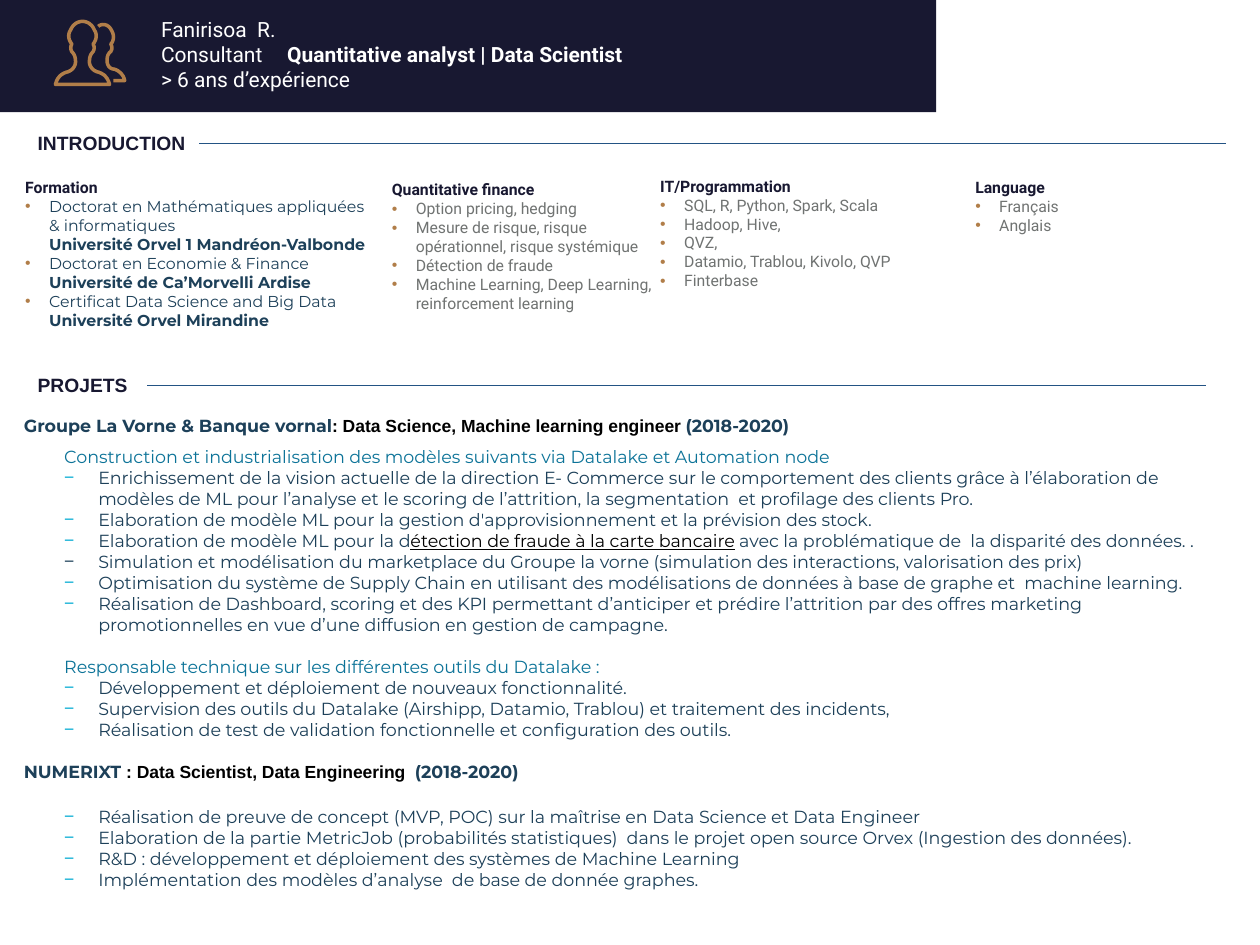
import pptx
import pptx.util
import pptx.dml.color
import pptx.enum.shapes
import pptx.oxml.ns
import lxml.etree

WIDTH, HEIGHT = 10, 7.5
COLORS = {"night": "181831", "bronze": "B17E49", "rule": "235384", "white": "FFFFFF",
          "navy": "1D4059", "teal": "0C7398", "cyan": "00AAD2", "gray": "707372",
          "black": "000000"}

BOLD = {"bold": True}
ROLE = {"font": "Arial", "color": "black"}
UNDERLINED = {"color": "black", "underline": True}

profile = [
    ["Fanirisoa  R."],
    ["Consultant\t", ("Quantitative analyst | Data Scientist", BOLD)],
    ["> 6 ans d’expérience"],
]
sections = [("INTRODUCTION", 0.99, 1.39, 1.58, 9.73), ("PROJETS", 2.91, 1.21, 1.17, 9.57)]

DEGREE = {"font": "Montserrat", "color": "navy"}
SKILL = {"font": "Roboto", "color": "gray"}
skills = [
    ("Formation", (0.2, 1.41, 2.79, 1.4), DEGREE, [
        ["Doctorat en Mathématiques appliquées & informatiques \n",
         ("Université Orvel 1 Mandréon-Valbonde", BOLD)],
        ["Doctorat en Economie & Finance \n", ("Université de Ca’Morvelli Ardise", BOLD)],
        ["Certificat Data Science and Big Data ", ("Université Orvel Mirandine", BOLD)]]),
    ("Quantitative finance", (3.11, 1.43, 2.12, 1.61), SKILL, [
        ["Option pricing, hedging"],
        ["Mesure de risque, risque opérationnel, risque systémique"],
        ["Détection de fraude"],
        ["Machine Learning, Deep Learning, reinforcement learning"]]),
    ("IT/Programmation", (5.24, 1.4, 2.37, 1.27), SKILL, [
        ["SQL, R, Python, Spark, Scala"],
        ["Hadoop, Hive,"],
        ["QVZ,"],
        ["Datamio, Trablou, Kivolo, QVP"],
        ["Finterbase"]]),
    ("Language", (7.74, 1.41, 1.51, 0.94), SKILL, [["Français"], ["Anglais"]]),
]

projects = [
    ("employer", [("Groupe La Vorne & Banque vornal", BOLD),
                  (": Data Science, Machine learning engineer ", ROLE | BOLD),
                  ("(2018-2020)", BOLD)], {}),
    ("mission", ["Construction et industrialisation des modèles suivants via Datalake "
                 "et Automation node"], {"before": 6}),
    ("task", ["Enrichissement de la vision actuelle de la direction E- Commerce sur le "
              "comportement des clients grâce à l’élaboration de modèles de ML pour l’analyse "
              "et le scoring de l’attrition, la segmentation  et profilage des clients Pro."], {}),
    ("task", ["Elaboration de modèle ML pour la gestion d'approvisionnement et la prévision "
              "des stock."], {}),
    ("task", ["Elaboration de modèle ML pour la d",
              ("étection de fraude à la carte bancaire", UNDERLINED),
              " avec la problématique de  la disparité des données. ."], {}),
    ("task", ["Simulation et modélisation du marketplace du Groupe la vorne (simulation des "
              "interactions, valorisation des prix)"], {"bullet_color": "navy"}),
    ("task", ["Optimisation du système de Supply Chain en utilisant des modélisations de "
              "données à base de graphe et  machine learning."], {}),
    ("task", ["Réalisation de Dashboard, scoring et des KPI permettant d’anticiper et prédire "
              "l’attrition par des offres marketing promotionnelles en vue d’une diffusion en "
              "gestion de campagne."], {}),
    ("mission", ["Responsable technique sur les différentes outils du Datalake :"],
     {"before": 12}),
    ("task", ["Développement et déploiement de nouveaux fonctionnalité."], {}),
    ("task", ["Supervision des outils du Datalake (Airshipp, Datamio, Trablou) et traitement "
              "des incidents,"], {}),
    ("task", ["Réalisation de test de validation fonctionnelle et configuration des outils."], {}),
    ("employer", [("NUMERIXT ", BOLD), (": Data Scientist, Data Engineering ", ROLE | BOLD),
                  (" (2018-2020)", BOLD)], {"before": 11.5}),
    ("task", ["Réalisation de preuve de concept (MVP, POC) sur la maîtrise en Data Science et "
              "Data Engineer"], {"before": 14}),
    ("task", ["Elaboration de la partie MetricJob (probabilités statistiques)  dans le projet "
              "open source Orvex (Ingestion des données)."], {}),
    ("task", ["R&D : développement et déploiement des systèmes de Machine Learning"], {}),
    ("task", ["Implémentation des modèles d’analyse  de base de donnée graphes."], {}),
]
PROJECT_STYLES = {
    "employer": {"color": "navy"},
    "mission": {"color": "teal", "level": 1, "indent": 0.32},
    "task": {"color": "navy", "level": 1, "indent": 0.59, "hanging": 0.27,
             "bullet": "−", "bullet_color": "cyan"},
}

FRONT_AXIS = 0.655
front_half = [(0.44, 0.67),
              (0.46, 0.6), (0.5, 0.58), (0.54, 0.57), (0.57, 0.56), (0.6, 0.53), (0.6, 0.49),
              (0.6, 0.44), (0.58, 0.42), (0.57, 0.41), (0.56, 0.39), (0.56, 0.37), (0.57, 0.35),
              (0.54, 0.31), (0.54, 0.27), (0.56, 0.24), (0.58, 0.19), (0.62, 0.17),
              (FRONT_AXIS, 0.17)]
back_outline = [(0.78, 0.21),
                (0.8, 0.19), (0.86, 0.18), (0.89, 0.25), (0.91, 0.29), (0.9, 0.33), (0.88, 0.35),
                (0.9, 0.39), (0.88, 0.4), (0.88, 0.41), (0.86, 0.42), (0.85, 0.45), (0.85, 0.48),
                (0.85, 0.53), (0.88, 0.55), (0.91, 0.55), (0.94, 0.56), (0.98, 0.59), (0.99, 0.64),
                (0.96, 0.64), (0.93, 0.64), (0.9, 0.64)]

deck = pptx.Presentation()
deck.slide_width, deck.slide_height = pptx.util.Inches(WIDTH), pptx.util.Inches(HEIGHT)
slide = deck.slides.add_slide(deck.slide_layouts[6])


def rgb(name):
    return pptx.dml.color.RGBColor.from_string(COLORS[name])


def inches(values):
    return [pptx.util.Inches(value) for value in values]


def text_frame(area, padded=False):
    frame = slide.shapes.add_textbox(*inches(area)).text_frame
    frame.word_wrap = True
    margins = (0.1, 0.05, 0.1, 0.05) if padded else (0, 0, 0, 0)
    (frame.margin_left, frame.margin_top,
     frame.margin_right, frame.margin_bottom) = inches(margins)
    return frame


def write(frame, runs, size=10, font="Montserrat", color="navy", bold=False, underline=False,
          level=0, indent=0, hanging=0, bullet=None, bullet_color="bronze", before=0):
    paragraph = frame.paragraphs[0]
    if paragraph.runs:
        paragraph = frame.add_paragraph()
    paragraph.level = level
    paragraph.space_before = pptx.util.Pt(before)
    base = {"font": font, "color": color, "bold": bold, "underline": underline}
    for part in runs:
        words, changes = (part, {}) if isinstance(part, str) else part
        look = base | changes
        run = paragraph.add_run()
        run.text = words.rstrip("\n")
        run.font.size = pptx.util.Pt(size)
        run.font.name = look["font"]
        run.font.bold = look["bold"]
        run.font.underline = look["underline"]
        run.font.color.rgb = rgb(look["color"])
        if words.endswith("\n"):
            paragraph.add_line_break()
    properties = paragraph._p.get_or_add_pPr()
    properties.set("marL", str(pptx.util.Inches(indent)))
    properties.set("indent", str(-pptx.util.Inches(hanging)))
    qn = pptx.oxml.ns.qn
    if bullet:
        tint = lxml.etree.SubElement(properties, qn("a:buClr"))
        lxml.etree.SubElement(tint, qn("a:srgbClr"), val=COLORS[bullet_color])
        lxml.etree.SubElement(properties, qn("a:buFont"), typeface="Arial")
        lxml.etree.SubElement(properties, qn("a:buChar"), char=bullet)
    else:
        lxml.etree.SubElement(properties, qn("a:buNone"))


def curve(points, steps=8):
    traced = [points[0]]
    for i in range(0, len(points) - 1, 3):
        a, b, c, d = points[i:i + 4]
        for t in (step / steps for step in range(1, steps + 1)):
            u = 1 - t
            traced.append(tuple(u**3 * p + 3 * u * u * t * q + 3 * u * t * t * r + t**3 * s
                                for p, q, r, s in zip(a, b, c, d)))
    return traced


def draw_outline(points, close):
    mils = [(round(x * 1000), round(y * 1000)) for x, y in points]
    builder = slide.shapes.build_freeform(*mils[0], scale=914.4)
    builder.add_line_segments(mils[1:], close=close)
    person = builder.convert_to_shape()
    person.shadow.inherit = False
    person.fill.background()
    person.line.color.rgb = rgb("bronze")
    person.line.width = pptx.util.Pt(2)


banner = slide.shapes.add_shape(pptx.enum.shapes.MSO_SHAPE.RECTANGLE, *inches((0, 0, 7.43, 0.89)))
banner.shadow.inherit = False
banner.fill.solid()
banner.fill.fore_color.rgb = rgb("night")
banner.line.fill.background()

front = curve(front_half)
draw_outline(front + [(2 * FRONT_AXIS - x, y) for x, y in reversed(front[:-1])], True)
draw_outline(curve(back_outline), False)

for title, top, width, start, end in sections:
    write(text_frame((0.2, top, width, 0.29), padded=True), [title],
          size=11, font="Arial", color="night", bold=True)
    level = top + 0.15
    rule = slide.shapes.add_connector(pptx.enum.shapes.MSO_CONNECTOR.STRAIGHT,
                                      *inches((start, level, end, level)))
    rule.line.color.rgb = rgb("rule")
    rule.line.width = pptx.util.Pt(0.75)
    lxml.etree.SubElement(rule._element.spPr, pptx.oxml.ns.qn("a:effectLst"))

profile_frame = text_frame((1.18, 0.08, 6.25, 0.71), padded=True)
for runs in profile:
    write(profile_frame, runs, size=12, font="Roboto", color="white")

projects_frame = text_frame((0.19, 3.29, 9.53, 4.1))
for kind, runs, changes in projects:
    write(projects_frame, runs, **(PROJECT_STYLES[kind] | changes))

for heading, area, look, items in skills:
    skill_frame = text_frame(area)
    write(skill_frame, [heading], size=9, font="Roboto", color="night", bold=True)
    for runs in items:
        write(skill_frame, runs, size=9, indent=0.19, hanging=0.19, bullet="•", **look)

deck.save("out.pptx")
